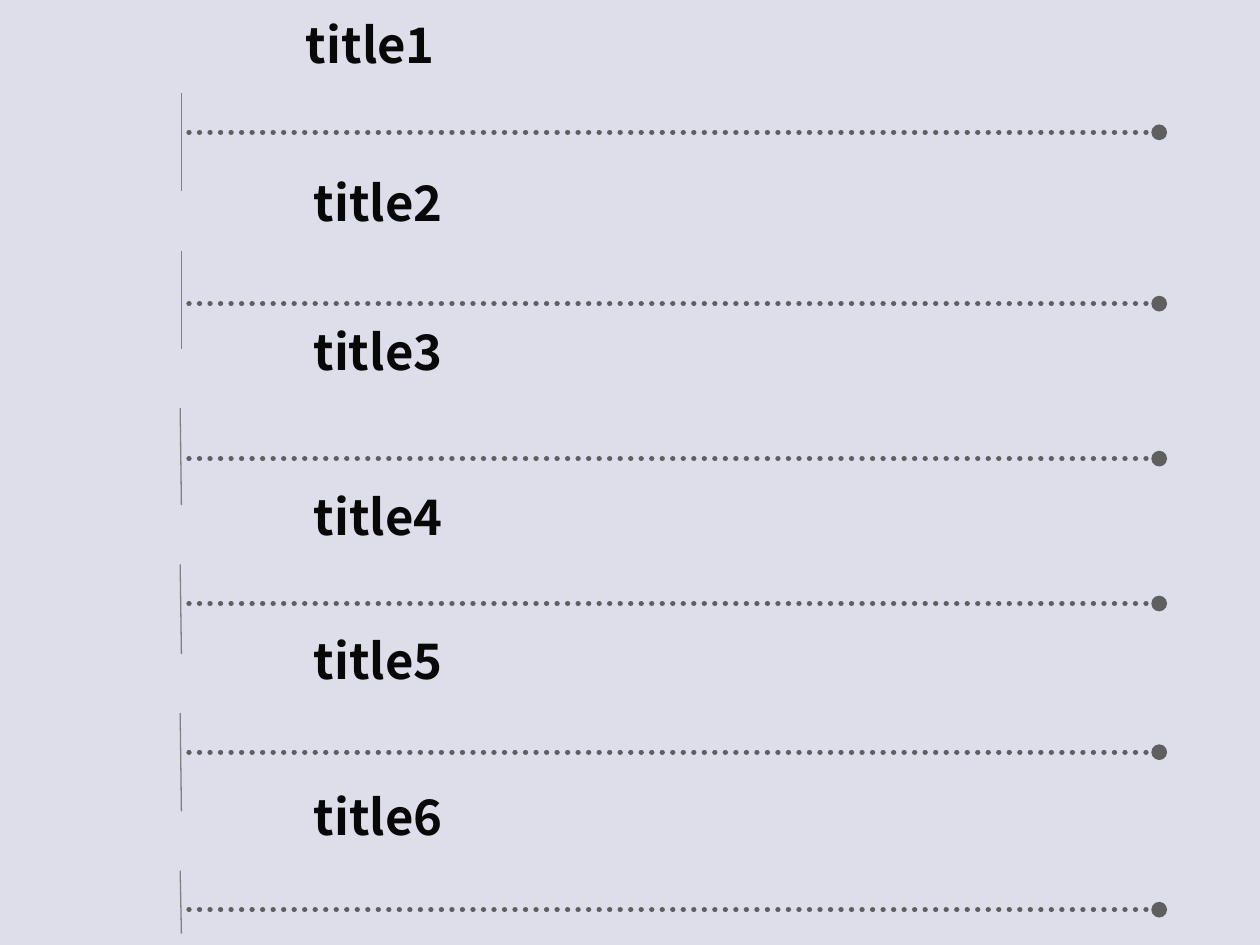
from pptx import Presentation
from pptx.dml.color import RGBColor
from pptx.enum.dml import MSO_LINE
from pptx.enum.shapes import MSO_CONNECTOR
from pptx.enum.text import MSO_ANCHOR, MSO_AUTO_SIZE
from pptx.oxml.ns import qn
from pptx.util import Inches, Pt
from lxml import etree

STRAIGHT = MSO_CONNECTOR.STRAIGHT
ROUND_DOT = MSO_LINE.ROUND_DOT
MIDDLE = MSO_ANCHOR.MIDDLE
FIT_SHAPE = MSO_AUTO_SIZE.SHAPE_TO_FIT_TEXT
BLANK_LAYOUT = 6


def color(value):
    return RGBColor.from_string(value)


class SlideBuilder:
    background = "DDDEEA"
    side_color = "808080"
    dotted_color = "5F5F5F"
    title_color = "080808"
    title_format = {"name": "Noto Sans CJK SC", "size": Pt(28), "bold": True}

    def __init__(self, presentation):
        self.slide = presentation.slides.add_slide(presentation.slide_layouts[BLANK_LAYOUT])
        fill = self.slide.background.fill
        fill.solid()
        fill.fore_color.rgb = color(self.background)

    def line(self, start, end, line_color, width):
        connector = self.slide.shapes.add_connector(
            STRAIGHT, *(Inches(value) for value in (*start, *end)))
        connector.line.color.rgb = color(line_color)
        connector.line.width = Pt(width)
        etree.SubElement(connector._element.spPr, qn("a:effectLst"))
        return connector

    def side_line(self, left, top, bottom):
        self.line((left, top), (1.44, bottom), self.side_color, 0.75)

    def dotted_line(self, top):
        connector = self.line((1.5, top), (9.2, top), self.dotted_color, 3)
        connector.line.dash_style = ROUND_DOT
        # Round dots and the oval end
        outline = connector.line._get_or_add_ln()
        outline.set("cap", "rnd")
        etree.SubElement(outline, qn("a:tailEnd"), type="oval")

    def title(self, text, left, top, width):
        shape = self.slide.shapes.add_textbox(
            Inches(left), Inches(top), Inches(width), Inches(0.57))
        frame = shape.text_frame
        frame_format = {"word_wrap": True, "auto_size": FIT_SHAPE, "vertical_anchor": MIDDLE}
        for name, value in frame_format.items():
            setattr(frame, name, value)
        paragraph = frame.paragraphs[0]
        run = paragraph.add_run()
        run.text = text
        for name, value in self.title_format.items():
            setattr(run.font, name, value)
        run.font.color.rgb = color(self.title_color)


# Each row: title left, top and width; side line left, top and bottom; dotted line top
ROWS = [
    ((2.33, 0.06, 6.82), (1.44, 0.74, 1.52), 1.05),
    ((2.39, 1.32, 6.82), (1.44, 1.99, 2.77), 2.41),
    ((2.39, 2.5, 6.7), (1.43, 3.24, 4.01), 3.64),
    ((2.39, 3.81, 6.82), (1.43, 4.48, 5.19), 4.79),
    ((2.39, 4.95, 6.82), (1.43, 5.66, 6.44), 5.97),
    ((2.39, 6.19, 6.82), (1.43, 6.91, 7.41), 7.22),
]


def main():
    presentation = Presentation()
    presentation.slide_width = Inches(10)
    presentation.slide_height = Inches(7.5)
    builder = SlideBuilder(presentation)

    # Six titled rows
    for number, (title_box, side, dotted_top) in enumerate(ROWS, 1):
        builder.side_line(*side)
        builder.dotted_line(dotted_top)
        builder.title(f"title{number}", *title_box)

    presentation.save("out.pptx")


if __name__ == "__main__":
    main()
